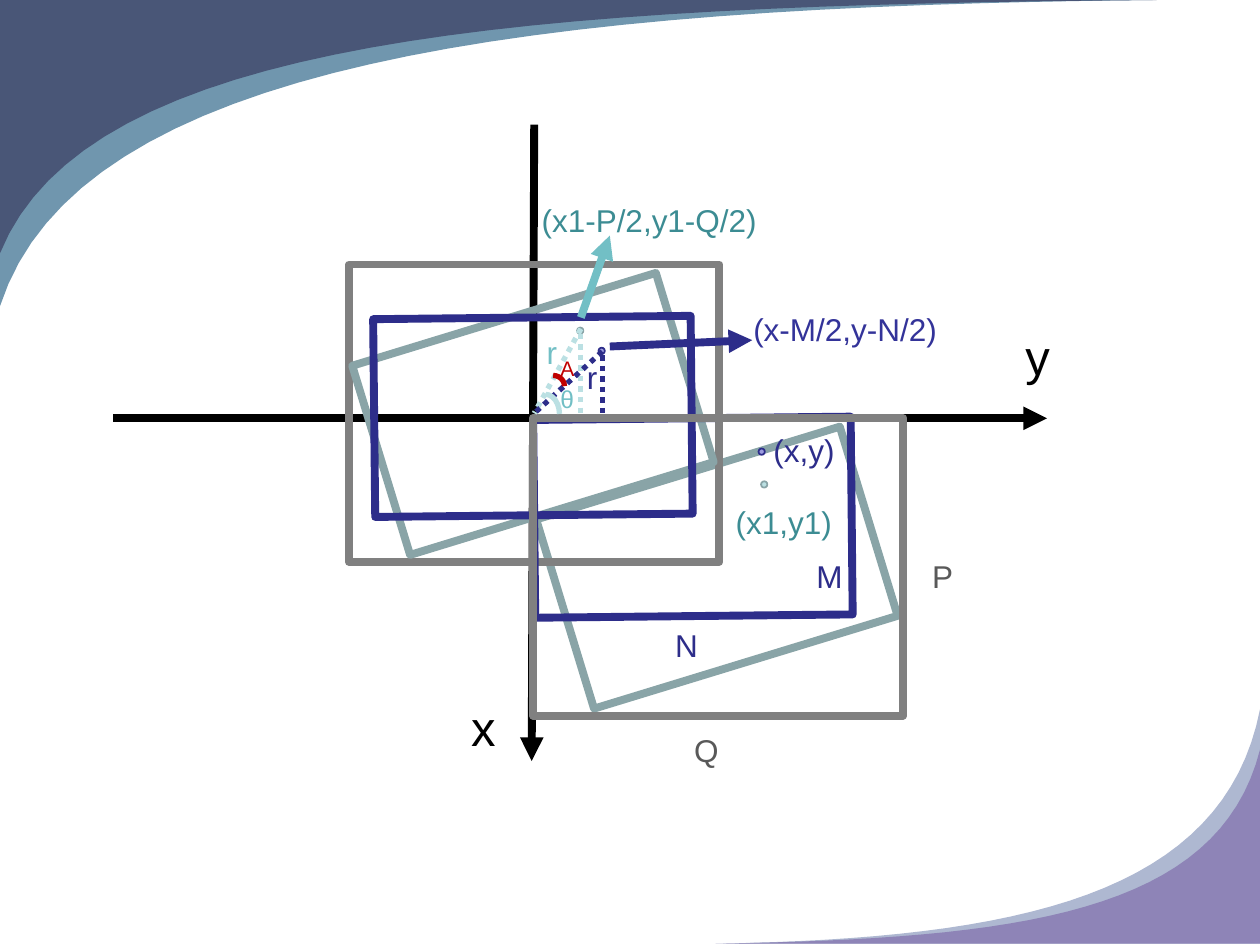
from lxml import etree
from pptx import Presentation
from pptx.dml.color import RGBColor
from pptx.enum.dml import MSO_LINE
from pptx.enum.shapes import MSO_CONNECTOR, MSO_SHAPE
from pptx.enum.text import MSO_AUTO_SIZE
from pptx.oxml.ns import qn
from pptx.util import Inches, Pt

RECT, OVAL, ARC = MSO_SHAPE.RECTANGLE, MSO_SHAPE.OVAL, MSO_SHAPE.ARC
STRAIGHT = MSO_CONNECTOR.STRAIGHT
FIT = MSO_AUTO_SIZE.SHAPE_TO_FIT_TEXT
DOTTED = MSO_LINE.ROUND_DOT

HUES = {
    "black": "000000", "grey": "808080", "dark": "595959", "red": "C00000",
    "sage": "89A4A7", "pale": "BBE0E3", "aqua": "72BFC5", "teal": "3C8C93",
    "navy": "2D2D8A", "blue": "333399", "lilac": "9C9CDF",
    "steel": "7096AE", "slate": "495677", "mist": "AEB8D1", "plum": "8E84B7",
}
FRAME = (2.94, 2.36)
IMAGE = (2.52, 1.57)
DOT = (0.05, 0.05)
HEAVY, MID, THIN = 4.5, 3, 1
STEPS = 32

# Each swoosh: colour, start, two control points, end, filled corner
SWOOSHES = [
    ("steel", (0, 2.43), (0.62, 0.5), (4.15, 0.05), (9.18, 0), (0, 0)),
    ("slate", (0, 2.01), (0.69, 0.3), (4.09, 0.04), (9.18, 0), (0, 0)),
    ("mist", (10, 5.63), (9.71, 7.11), (8.08, 7.45), (5.68, 7.49), (10, 7.49)),
    ("plum", (10, 5.95), (9.67, 7.26), (8.07, 7.45), (5.68, 7.49), (10, 7.49)),
]

# Each label: text, left, top, width, size, colour
LABELS = [
    ("x", 3.64, 5.49, 0.94, 28, "black"),
    ("y", 8.04, 2.54, 0.54, 28, "black"),
    ("r", 4.24, 2.59, 0.24, 18, "aqua"),
    ("r", 4.56, 2.79, 0.24, 18, "navy"),
    ("(x,y)", 6.04, 3.37, 2.01, 18, "navy"),
    ("(x1,y1)", 5.74, 3.94, 2.01, 18, "teal"),
    ("(x1-P/2,y1-Q/2)", 4.2, 1.55, 2.01, 18, "teal"),
    ("(x-M/2,y-N/2)", 5.88, 2.41, 2.01, 18, "blue"),
    ("P", 7.3, 4.37, 2.01, 18, "dark"),
    ("Q", 5.41, 5.75, 2.01, 18, "dark"),
    ("N", 5.26, 4.92, 0.68, 18, "navy"),
    ("M", 6.38, 4.37, 0.68, 18, "navy"),
    ("θ", 4.35, 3, 0.24, 14, "aqua"),
    ("A", 4.35, 2.77, 0.24, 12, "red"),
]


def rgb(hue):
    return RGBColor.from_string(HUES[hue])


def shape(shapes, kind, spot, size, hue, width, fill=None, turn=0):
    item = shapes.add_shape(kind, *map(Inches, (*spot, *size)))
    item.shadow.inherit = False
    item.rotation = turn
    item.line.color.rgb = rgb(hue)
    item.line.width = Pt(width)
    if fill:
        item.fill.solid()
        item.fill.fore_color.rgb = rgb(fill)
    else:
        item.fill.background()


def line(shapes, start, end, hue, width=HEAVY, dash=None, arrow=False):
    item = shapes.add_connector(STRAIGHT, *map(Inches, (*start, *end)))
    item.line.color.rgb = rgb(hue)
    item.line.width = Pt(width)
    if dash:
        item.line.dash_style = dash
    props = item._element.spPr
    if arrow:
        etree.SubElement(props.find(qn("a:ln")), qn("a:tailEnd"), type="triangle")
    etree.SubElement(props, qn("a:effectLst"))


def swoosh(shapes, hue, start, near, far, end, corner):
    """Fill between a cubic curve and a slide corner."""
    def point(t):
        s = 1 - t
        return tuple(
            Inches(s**3 * a + 3 * s * s * t * b + 3 * s * t * t * c + t**3 * d)
            for a, b, c, d in zip(start, near, far, end))

    curve = [point(i / STEPS) for i in range(STEPS + 1)]
    form = shapes.build_freeform(*curve[0])
    form.add_line_segments(curve[1:] + [tuple(map(Inches, corner))])
    item = form.convert_to_shape()
    item.shadow.inherit = False
    item.fill.solid()
    item.fill.fore_color.rgb = rgb(hue)
    item.line.fill.background()


def image(shapes, box, shift, mark, hue, fill, turn):
    """Turned rectangle and its marked pixel, placed within the box."""
    left, top = box
    parts = shapes.add_group_shape().shapes
    shape(parts, RECT, (left + shift[0], top + shift[1]), IMAGE, hue, HEAVY, turn=turn)
    shape(parts, OVAL, (left + mark[0], top + mark[1]), DOT, hue, THIN, fill)


def tilted(shapes, box):
    image(shapes, box, (0.2, 0.4), (1.81, 0.5), "sage", "pale", -17)


def level(shapes, box, shift, mark):
    image(shapes, box, shift, mark, "navy", "lilac", -0.6)


def border(shapes, box):
    shape(shapes, RECT, box, FRAME, "grey", HEAVY)


def axes(shapes, zero):
    x, y = zero
    line(shapes, (x - 3.34, y), (x + 4.07, y), "black", arrow=True)
    line(shapes, (x, y - 2.33), (x - 0.02, y + 2.72), "black", arrow=True)


def drops(shapes, zero):
    x, y = zero
    line(shapes, (x + 0.37, y - 0.67), (x + 0.37, y), "pale", MID, DOTTED)
    line(shapes, (x + 0.54, y - 0.5), (x + 0.54, y - 0.04), "navy", MID, DOTTED)


def radii(shapes, zero):
    x, y = zero
    foot = (x, y - 0.04)
    line(shapes, (x + 0.37, y - 0.71), foot, "pale", MID, DOTTED)
    line(shapes, (x + 0.54, y - 0.53), foot, "navy", MID, DOTTED)
    shape(shapes, ARC, (x - 0.02, y - 0.19), (0.22, 0.31), "pale", MID)
    shape(shapes, ARC, (x + 0.06, y - 0.34), (0.18, 0.17), "red", MID)


def pointers(shapes, zero):
    x, y = zero
    line(shapes, (x + 0.37, y - 0.8), (x + 0.6, y - 1.45), "aqua", arrow=True)
    line(shapes, (x + 0.6, y - 0.57), (x + 1.73, y - 0.62), "navy", arrow=True)


def label(shapes, text, left, top, width, size, hue):
    box = shapes.add_textbox(*map(Inches, (left, top, width, size * 0.02 + 0.04)))
    frame = box.text_frame
    frame.word_wrap = True
    frame.auto_size = FIT
    run = frame.paragraphs[0].add_run()
    run.text = text
    for name, value in {"name": "Arial", "size": Pt(size)}.items():
        setattr(run.font, name, value)
    run.font.color.rgb = rgb(hue)


def main():
    deck = Presentation()
    deck.slide_width, deck.slide_height = Inches(10), Inches(7.5)
    shapes = deck.slides.add_slide(deck.slide_layouts[6]).shapes
    zero, centred, shifted = (4.24, 3.32), (2.77, 2.1), (4.23, 3.32)

    for parts in SWOOSHES:
        swoosh(shapes, *parts)
    tilted(shapes, shifted)
    axes(shapes, zero)
    border(shapes, centred)
    tilted(shapes, centred)
    level(shapes, centred, (0.2, 0.42), (1.98, 0.66))
    drops(shapes, zero)
    level(shapes, shifted, (0.01, 0), (1.79, 0.24))
    border(shapes, shifted)
    radii(shapes, zero)
    for parts in LABELS:
        label(shapes, *parts)
    pointers(shapes, zero)
    deck.save("out.pptx")


if __name__ == "__main__":
    main()
